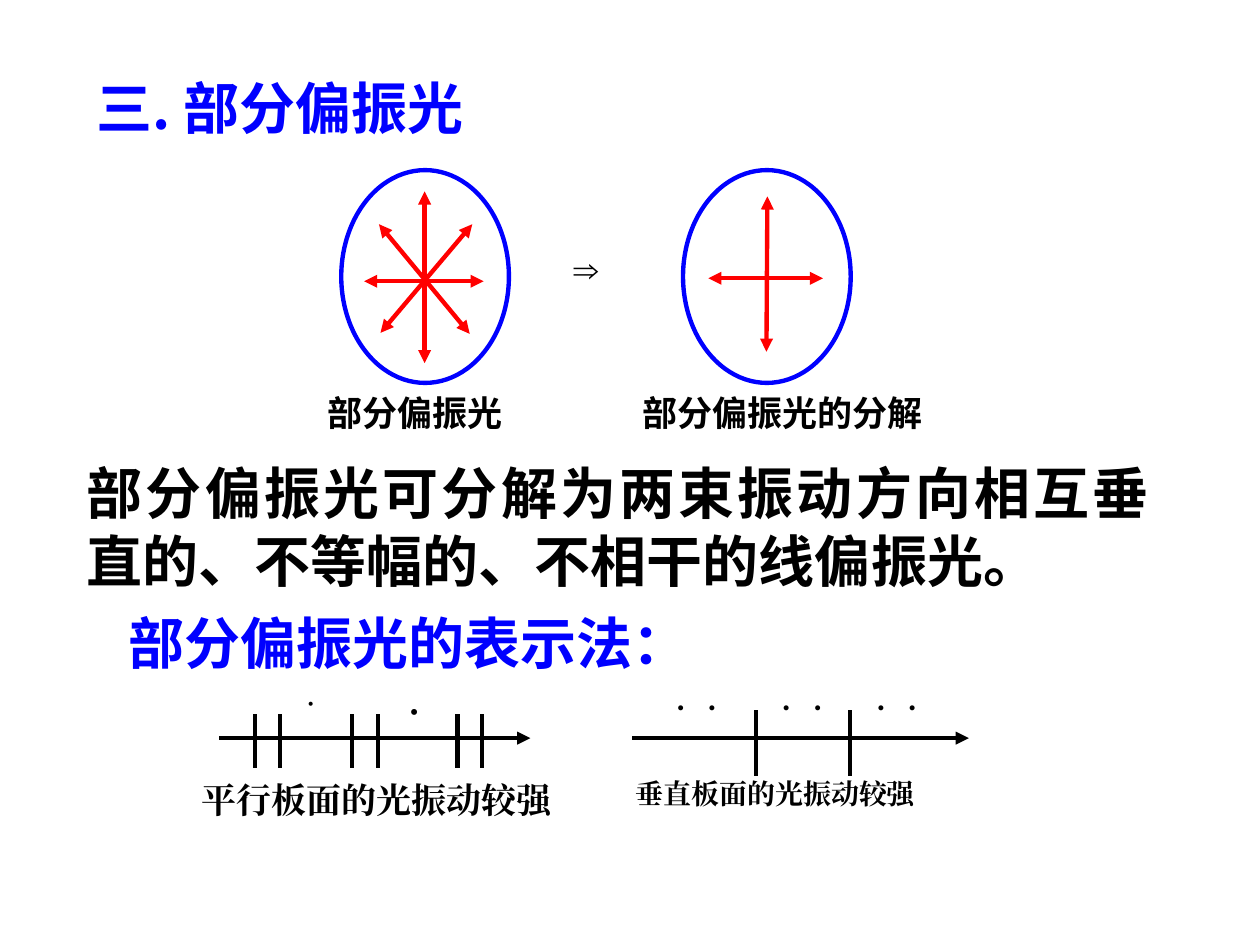
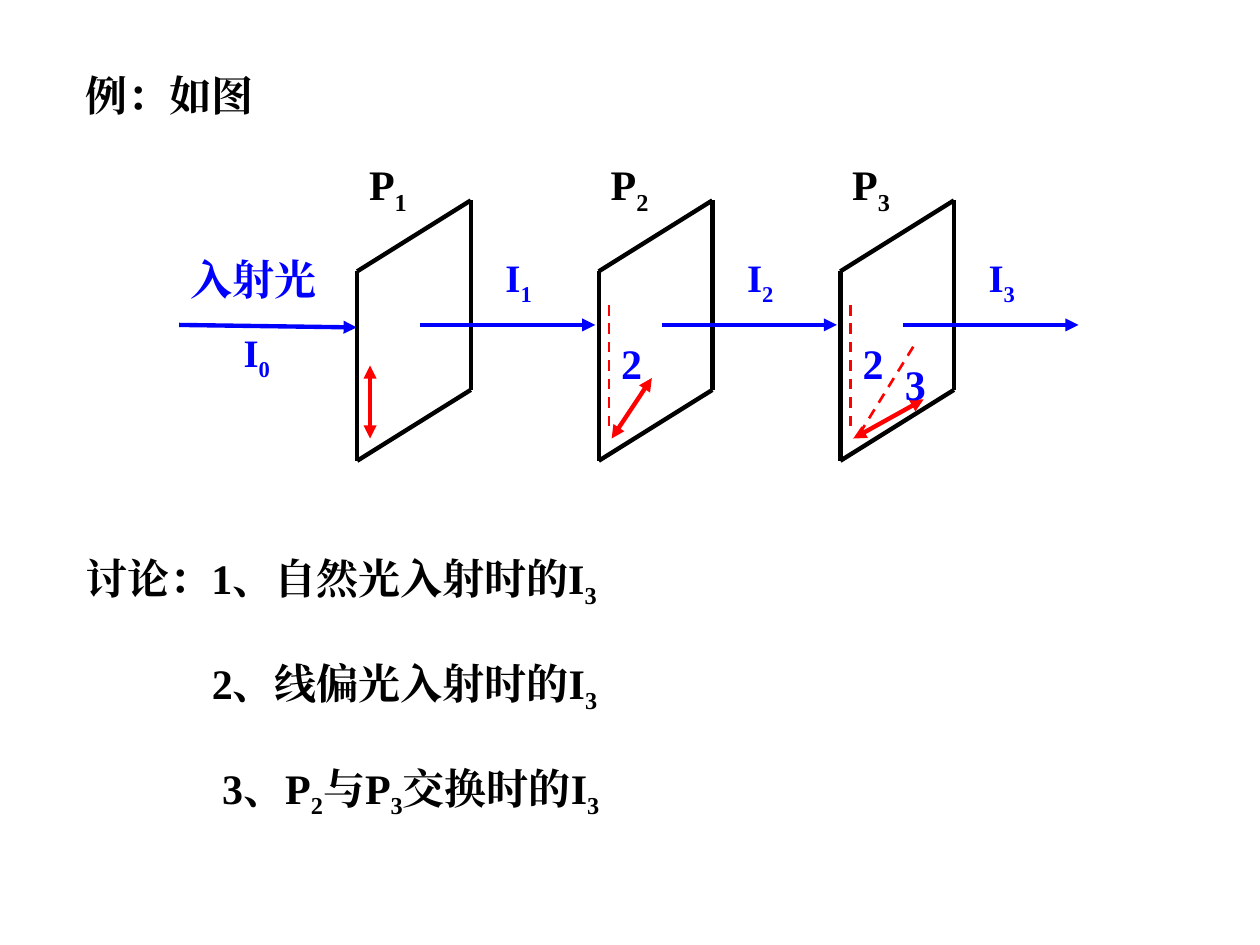
from lxml import etree
from pptx import Presentation
from pptx import util as u
from pptx.dml.color import RGBColor
from pptx.enum import dml, shapes, text
from pptx.oxml import ns

BLACK = RGBColor(0, 0, 0)
BLUE = RGBColor(0, 0, 255)
RED = RGBColor(255, 0, 0)
SANS = "Noto Sans CJK SC"
SERIF = "Times New Roman"
SYMBOL = "Arial"
WIDE_INSET = (0.25, 0.13)
TIGHT_INSET = (0.03, 0.03)
PLATE_PITCH = 4.87


def write(sp, words, size, font, color=BLACK, inset=TIGHT_INSET, align=text.PP_ALIGN.LEFT):
    """Fill a shape with bold text; every second part between bars is a subscript."""
    tf = sp.text_frame
    tf.word_wrap = True
    tf.auto_size = text.MSO_AUTO_SIZE.NONE
    tf.vertical_anchor = text.MSO_ANCHOR.TOP
    tf.margin_left = tf.margin_right = u.Cm(inset[0])
    tf.margin_top = tf.margin_bottom = u.Cm(inset[1])
    p = tf.paragraphs[0]
    p.alignment = align
    for i, part in enumerate(words.split("|")):
        if not part:
            continue
        r = p.add_run()
        r.text = part
        r.font.size = u.Pt(size)
        r.font.bold = True
        r.font.name = font
        r.font.color.rgb = color
        rpr = r._r.get_or_add_rPr()
        etree.SubElement(rpr, ns.qn("a:ea")).set("typeface", font)
        if i % 2:
            rpr.set("baseline", "-25000")


def place(sp, x, y, w, h):
    """Move and size a shape in centimetres."""
    sp.left, sp.top, sp.width, sp.height = (u.Cm(v) for v in (x, y, w, h))


def add_title(s, box, words, size, font, color):
    """Place and fill the title placeholder."""
    place(s.shapes.title, *box)
    write(s.shapes.title, words, size, font, color, WIDE_INSET)


def add_text(s, x, y, w, h, *args, **kwargs):
    """Add a text box."""
    sp = s.shapes.add_textbox(*(u.Cm(v) for v in (x, y, w, h)))
    write(sp, *args, **kwargs)


def add_line(s, x, y, start, end, color, width=2.5, arrows="", dashed=False):
    """Add a line between two points of the box at x, y."""
    points = (x + start[0], y + start[1], x + end[0], y + end[1])
    sp = s.shapes.add_connector(shapes.MSO_CONNECTOR.STRAIGHT, *(u.Cm(v) for v in points))
    sp.line.color.rgb = color
    sp.line.width = u.Pt(width)
    if dashed:
        sp.line.dash_style = dml.MSO_LINE.DASH
    ends = {"": (), "end": ("tailEnd",), "both": ("headEnd", "tailEnd")}[arrows]
    for name in ends:
        etree.SubElement(sp.line._get_or_add_ln(), ns.qn("a:" + name)).set("type", "triangle")
    etree.SubElement(sp._element.spPr, ns.qn("a:effectLst"))


def add_vibration(s, x, y, rays, caption, caption_x, caption_w):
    """Draw an ellipse with its vibration arrows and the caption below."""
    for start, end in rays:
        add_line(s, x, y, start, end, RED, arrows="both")
    sp = s.shapes.add_shape(shapes.MSO_SHAPE.OVAL, *(u.Cm(v) for v in (x, y, 3.38, 4.29)))
    sp.shadow.inherit = False
    sp.fill.background()
    sp.line.color.rgb = BLUE
    sp.line.width = u.Pt(2.5)
    add_text(s, x + caption_x, y + 4.34, caption_w, 1.12, caption, 20, SANS, inset=WIDE_INSET)


def add_ray(s, x, y, length, ticks, tick_span, dots, caption, caption_at, size):
    """Draw a light ray with in-plane ticks, out-of-plane dots and a caption."""
    add_line(s, x, y, (0, 1.04), (length, 1.04), BLACK, arrows="end")
    for tick in ticks:
        add_line(s, x, y, (tick, tick_span[0]), (tick, tick_span[1]), BLACK)
    for dot_x, dot_w, dot_size in dots:
        add_text(s, x + dot_x, y, dot_w, 0.91, "·", dot_size, SERIF)
    add_text(s, x + caption_at[0], y + caption_at[1], 7.8, 1.17, caption, size, SERIF,
             inset=WIDE_INSET)


def add_plate(s, x, y, number, tip, dashes, angles):
    """Draw a polarizer with its axis, reference lines, angles and outgoing beam."""
    right, rise, height = 2.29, 1.43, 3.82
    corners = [(0, rise), (right, 0), (right, height), (0, height + rise)]
    for start, end in zip(corners, corners[1:] + corners[:1]):
        add_line(s, x, y, start, end, BLACK)
    add_line(s, x, y, tip, (0.26, 4.8), RED, arrows="both")
    add_line(s, x, y, (1.27, 2.51), (4.8, 2.51), BLUE, arrows="end")
    for start, end in dashes:
        add_line(s, x, y, start, end, RED, 1.5, dashed=True)
    for words, dx, dy in angles:
        add_text(s, x + dx, y + dy, 1.32, 1.14, words, 24, SERIF, BLUE)
    add_text(s, x + 0.21, y - 0.87, 1.52, 1.35, f"P|{number}", 24, SERIF)
    add_text(s, x + 2.96, y + 1.04, 1.32, 1.14, f"I|{number}", 22.2, SERIF, BLUE)


def add_incident(s, x, y):
    """Draw the incoming beam with its labels."""
    add_text(s, x + 0.2, y, 2.97, 1.24, "入射光", 24, SERIF, BLUE)
    add_line(s, x, y, (0, 1.47), (3.58, 1.52), BLUE, arrows="end")
    add_text(s, x + 1.27, y + 1.52, 1.27, 1.19, "I|0", 22.2, SERIF, BLUE)


def build_partial_light(s):
    """Slide on partially polarized light and its notation."""
    add_title(s, (1.7, 1.35, 8.8, 1.63), "三. 部分偏振光", 32, SANS, BLUE)
    all_rays = [((0.46, 2.24), (2.87, 2.24)), ((1.68, 0.43), (1.68, 3.89)),
                ((0.79, 3.28), (2.64, 1.09)), ((2.59, 3.3), (0.76, 1.09))]
    cross = [((0.51, 2.18), (2.82, 2.18)), ((1.7, 0.53), (1.68, 3.66))]
    add_vibration(s, 6.88, 3.43, all_rays, "部分偏振光", -0.53, 4.55)
    add_text(s, 11.53, 4.95, 1.17, 1.3, "⇒", 20, SYMBOL)
    add_vibration(s, 13.77, 3.43, cross, "部分偏振光的分解", -1.07, 6.43)
    add_text(s, 1.5, 9.12, 21.92, 2.97,
             "部分偏振光可分解为两束振动方向相互垂直的、不等幅的、不相干的线偏振光。",
             32, SANS, inset=WIDE_INSET, align=text.PP_ALIGN.JUSTIFY)
    add_text(s, 2.34, 12.14, 14.4, 1.63, "部分偏振光的表示法：", 32, SANS, BLUE, WIDE_INSET)
    add_ray(s, 4.42, 13.84, 6.27, [0.72, 1.22, 2.67, 3.2, 4.8, 5.3], (0.56, 1.65),
            [(1.73, 1.04, 14.3), (3.78, 1.52, 20.9)],
            "平行板面的光振动较强", (-0.61, 1.73), 20)
    pairs = [(start + gap, 1.02, 17.6) for start in (0.84, 2.97, 4.88) for gap in (0, 0.63)]
    add_ray(s, 12.75, 13.84, 6.78, [2.49, 4.39], (0.48, 1.8), pairs,
            "垂直板面的光振动较强", (-0.18, 1.68), 16)


def build_polarizer_example(s):
    """Slide with light passing three polarizers and the questions."""
    add_title(s, (1.47, 1.27, 4.88, 1.27), "例：如图", 24, SERIF, BLACK)
    add_incident(s, 3.61, 5.08)
    upright = ((0.21, 2.11), (0.21, 4.65))
    slanted = ((1.47, 2.95), (0.42, 4.65))
    second = ("2", 0.42, 2.74)
    third = ("3", 1.27, 3.15)
    plates = [((0.26, 3.33), [], []),
              ((1.07, 3.58), [upright], [second]),
              ((1.68, 4.01), [upright, slanted], [second, third])]
    for i, (tip, dashes, angles) in enumerate(plates):
        add_plate(s, 7.2 + i * PLATE_PITCH, 4.04, i + 1, tip, dashes, angles)
    questions = [(1.47, "讨论：1、自然光入射时的I|3"),
                 (4.02, "2、线偏光入射时的I|3"),
                 (4.23, "3、P|2|与P|3|交换时的I|3")]
    for i, (x, words) in enumerate(questions):
        add_text(s, x, 11 + i * 2.12, 14, 1.42, words, 24, SERIF, inset=WIDE_INSET)


def main():
    """Build and save the presentation."""
    prs = Presentation()
    prs.slide_width, prs.slide_height = u.Cm(25.4), u.Cm(19.05)
    for build in (build_partial_light, build_polarizer_example):
        build(prs.slides.add_slide(prs.slide_layouts[5]))
    prs.save("out.pptx")


if __name__ == "__main__":
    main()
